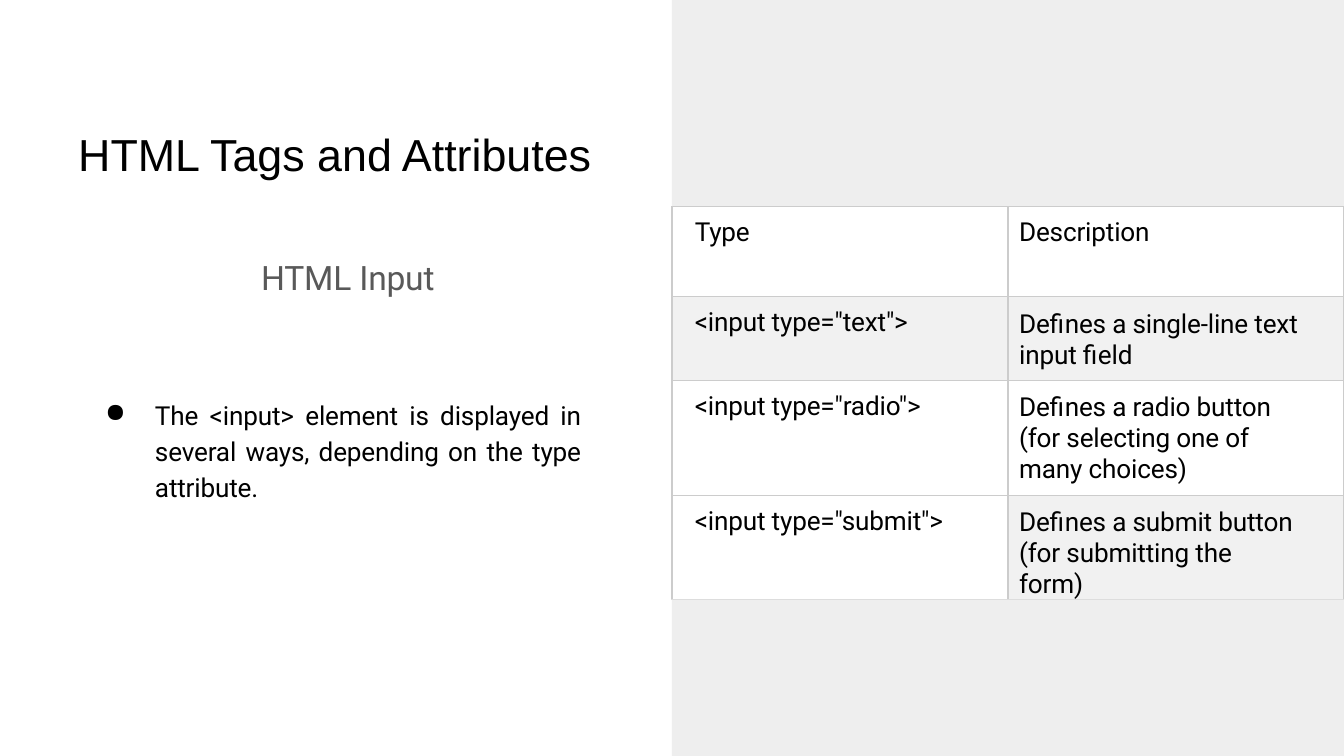
from dataclasses import dataclass

from lxml import etree
from pptx import Presentation
from pptx.dml.color import RGBColor
from pptx.enum import shapes, text
from pptx.oxml import ns
from pptx.util import Cm, Pt


@dataclass(frozen=True)
class Theme:
    panel: str = "EEEEEE"
    ink: str = "000000"
    muted: str = "595959"
    white: str = "FFFFFF"
    band: str = "F1F1F1"
    border: str = "CCCCCC"
    last_border: str = "DDDDDD"
    heading_font: str = "Arial"
    body_font: str = "Roboto"
    title_size: int = 24
    subtitle_size: int = 18
    body_size: int = 14


THEME = Theme()
SLIDE_W, SLIDE_H = 25.4, 14.29
HALF = SLIDE_W / 2

# Type, description, row height, right margin of description, fills
INPUT_ROWS = [
    ("Type", "Description", 1.7, 0.5, THEME.white, THEME.white),
    ('<input type="text">', "Defines a single-line text input field",
     1.58, 0.5, THEME.band, THEME.band),
    ('<input type="radio">',
     "Defines a radio button (for selecting one of many choices)",
     2.17, 0.81, THEME.white, THEME.white),
    ('<input type="submit">',
     "Defines a submit button (for submitting the form)",
     1.96, 0.81, THEME.white, THEME.band),
]


def style_runs(paragraph, size, color=THEME.ink, font=THEME.body_font, tracking=-10):
    for run in paragraph.runs:
        run.font.size = Pt(size)
        run.font.name = font
        run.font.color.rgb = RGBColor.from_string(color)
        run._r.get_or_add_rPr().set("spc", str(tracking))


def set_indent(paragraph, left, first=0):
    props = paragraph._p.get_or_add_pPr()
    props.set("marL", str(Cm(left)))
    props.set("indent", str(Cm(first)))
    return props


def add_panel(slide):
    panel = slide.shapes.add_shape(
        shapes.MSO_SHAPE.RECTANGLE, Cm(HALF), 0, Cm(HALF), Cm(SLIDE_H))
    panel.shadow.inherit = False
    panel.fill.solid()
    panel.fill.fore_color.rgb = RGBColor.from_string(THEME.panel)
    panel.line.fill.background()


def add_text(slide, words, left, top, width, height, align,
             anchor=text.MSO_ANCHOR.TOP):
    frame = slide.shapes.add_textbox(
        Cm(left), Cm(top), Cm(width), Cm(height)).text_frame
    frame.word_wrap = True
    frame.vertical_anchor = anchor
    frame.margin_left = frame.margin_right = frame.margin_bottom = 0
    frame.margin_top = Cm(0.03)
    frame.text = words
    paragraph = frame.paragraphs[0]
    paragraph.alignment = align
    return paragraph


def make_bullet(paragraph):
    props = set_indent(paragraph, 0.97, -0.94)
    color = etree.SubElement(props, ns.qn("a:buClr"))
    etree.SubElement(color, ns.qn("a:srgbClr"), val=THEME.ink)
    etree.SubElement(props, ns.qn("a:buChar"), char="●")
    paragraph.line_spacing = 1.16


def set_borders(cell, bottom):
    props = cell._tc.get_or_add_tcPr()
    sides = {"L": THEME.border, "R": THEME.border, "T": THEME.border, "B": bottom}
    for position, (side, color) in enumerate(sides.items()):
        line = etree.Element(ns.qn(f"a:ln{side}"), w=str(Pt(0.75)))
        fill = etree.SubElement(line, ns.qn("a:solidFill"))
        etree.SubElement(fill, ns.qn("a:srgbClr"), val=color)
        props.insert(position, line)


def fill_cell(cell, words, fill, indent, top, right, bottom):
    cell.text = words
    cell.margin_left = cell.margin_bottom = 0
    cell.margin_top, cell.margin_right = Cm(top), Cm(right)
    cell.fill.solid()
    cell.fill.fore_color.rgb = RGBColor.from_string(fill)
    set_borders(cell, bottom)
    paragraph = cell.text_frame.paragraphs[0]
    set_indent(paragraph, indent)
    style_runs(paragraph, THEME.body_size)
    return paragraph


def add_input_table(slide):
    height = sum(row[2] for row in INPUT_ROWS)
    table = slide.shapes.add_table(
        len(INPUT_ROWS), 2, Cm(HALF), Cm(3.91), Cm(HALF), Cm(height)).table
    table.first_row = table.horz_banding = False
    for index, (kind, description, tall, right, kind_fill, desc_fill) in enumerate(INPUT_ROWS):
        table.rows[index].height = Cm(tall)
        last = index == len(INPUT_ROWS) - 1
        bottom = THEME.last_border if last else THEME.border
        fill_cell(table.cell(index, 0), kind, kind_fill, 0.43, 0.2, 0, bottom)
        top = 0.23 if index else 0.2
        detail = fill_cell(table.cell(index, 1), description, desc_fill,
                           0.21, top, right, bottom)
        if index:
            detail.line_spacing = Pt(16.5)


def main():
    deck = Presentation()
    deck.slide_width, deck.slide_height = Cm(SLIDE_W), Cm(SLIDE_H)
    slide = deck.slides.add_slide(deck.slide_layouts[6])

    # Right half: background panel
    add_panel(slide)

    # Left half: title, subtitle and explanation
    title = add_text(slide, "HTML Tags and Attributes", 0.71, 2.0, 11.23, 1.78,
                     text.PP_ALIGN.CENTER, text.MSO_ANCHOR.MIDDLE)
    style_runs(title, THEME.title_size, font=THEME.heading_font, tracking=0)
    subtitle = add_text(slide, "HTML Input", 4.9, 4.82, 3.35, 0.81,
                        text.PP_ALIGN.CENTER)
    style_runs(subtitle, THEME.subtitle_size, THEME.muted)
    explanation = add_text(
        slide, "The <input> element is displayed in several ways, "
        "depending on the type attribute.",
        1.96, 7.42, 9.02, 2.11, text.PP_ALIGN.JUSTIFY)
    make_bullet(explanation)
    style_runs(explanation, THEME.body_size)

    # Table of input types over the panel
    add_input_table(slide)

    deck.save("out.pptx")


if __name__ == "__main__":
    main()
